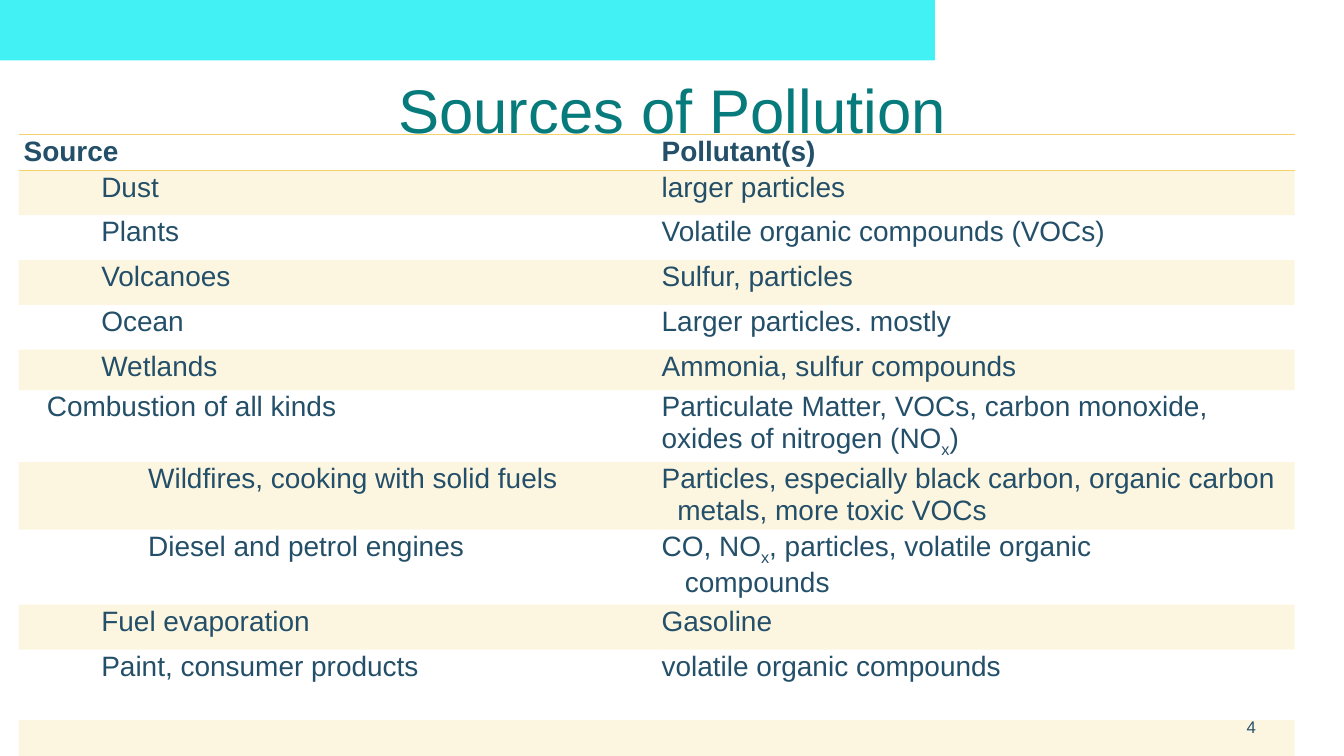
import pptx
import pptx.util
import pptx.dml.color
import pptx.enum.shapes
import pptx.enum.text
import pptx.oxml
import pptx.oxml.ns

Inches = pptx.util.Inches
RGB = pptx.dml.color.RGBColor.from_string
ALIGN = pptx.enum.text.PP_ALIGN

THEME = {
    "font": "Arial",
    "bar": "42F1F4",
    "gold": "F3D26C",
    "title": {"size": 88, "color": "077B7C"},
    "head": {"size": 40, "color": "244F69", "bold": True},
    "body": {"size": 40, "color": "244F69", "bold": False},
    "page": {"size": 24, "color": "244F69"},
}

# Left indent, source, row height, pollutant lines as (indent, text).
# Text between ~ marks is subscript.
ROWS = [
    (0, "Source", 0.71, [(0, "Pollutant(s)")]),
    (1.54, "Dust", 0.89, [(0, "larger particles")]),
    (1.54, "Plants", 0.89, [(0, "Volatile organic compounds (VOCs)")]),
    (1.54, "Volcanoes", 0.89, [(0, "Sulfur, particles")]),
    (1.54, "Ocean", 0.89, [(0, "Larger particles. mostly")]),
    (1.54, "Wetlands", 0.8, [(0, "Ammonia, sulfur compounds")]),
    (0.46, "Combustion of all kinds", 1.43,
     [(0, "Particulate Matter, VOCs, carbon monoxide, oxides of nitrogen (NO~x~)")]),
    (2.47, "Wildfires, cooking with solid fuels", 1.34,
     [(0, "Particles, especially black carbon, organic carbon"),
      (0.31, "metals, more toxic VOCs")]),
    (2.47, "Diesel and petrol engines", 1.49,
     [(0, "CO, NO~x~, particles, volatile organic"), (0.46, "compounds")]),
    (1.54, "Fuel evaporation", 0.89, [(0, "Gasoline")]),
    (1.54, "Paint, consumer products", 1.4, [(0, "volatile organic compounds")]),
    (0, "", 0.71, [(0, "")]),
]


def write(frame, lines, style, align=ALIGN.LEFT):
    """Fill a text frame with (indent, text) lines in one style."""
    for i, (indent, text) in enumerate(lines):
        para = frame.paragraphs[0] if i == 0 else frame.add_paragraph()
        para.alignment = align
        if indent:
            para._p.get_or_add_pPr().set("marL", str(Inches(indent)))
        for j, part in enumerate(text.split("~")):
            if not part:
                continue
            run = para.add_run()
            run.text = part
            look = {"name": THEME["font"], "size": pptx.util.Pt(style["size"]),
                    "bold": style.get("bold", False)}
            for key, value in look.items():
                setattr(run.font, key, value)
            run.font.color.rgb = RGB(style["color"])
            if j % 2:
                run._r.get_or_add_rPr().set("baseline", "-25000")


def rule(cell, side):
    """Draw a thin gold border on one side of a cell."""
    line = pptx.oxml.parse_xml(
        f'<a:{side} {pptx.oxml.ns.nsdecls("a")} w="12700"><a:solidFill>'
        f'<a:srgbClr val="{THEME["gold"]}"/></a:solidFill></a:{side}>')
    props = cell._tc.get_or_add_tcPr()
    props.insert(sum(1 for kid in props if "}ln" in kid.tag), line)


deck = pptx.Presentation()
deck.slide_width, deck.slide_height = Inches(26.67), Inches(15)
slide = deck.slides.add_slide(deck.slide_layouts[6])

# Top bar
bar = slide.shapes.add_shape(pptx.enum.shapes.MSO_SHAPE.RECTANGLE,
                             0, 0, Inches(18.55), Inches(1.2))
bar.shadow.inherit = False
bar.fill.solid()
bar.fill.fore_color.rgb = RGB(THEME["bar"])
bar.line.fill.background()

# Source table
grid = slide.shapes.add_table(len(ROWS), 2, Inches(0.37), Inches(2.67), Inches(25.32),
                              Inches(sum(row[2] for row in ROWS)))
table = grid.table
table.horz_banding = False
# Plain table style: no fill, no grid
table._tbl.tblPr.find(pptx.oxml.ns.qn("a:tableStyleId")).text = \
    "{2D5ABB26-0587-4C30-8999-92F81FD0307C}"
for r, (indent, source, height, lines) in enumerate(ROWS):
    table.rows[r].height = Inches(height)
    for c, content in enumerate([[(indent, source)], lines]):
        cell = table.cell(r, c)
        pads = {"margin_left": 0.1, "margin_right": 0.1,
                "margin_top": 0.03, "margin_bottom": 0.03}
        for key, value in pads.items():
            setattr(cell, key, Inches(value))
        write(cell.text_frame, content, THEME["body" if r else "head"])
        if r % 2:
            cell.fill.solid()
            cell.fill.fore_color.rgb = RGB(THEME["gold"])
            tint = cell._tc.tcPr.find(".//" + pptx.oxml.ns.qn("a:srgbClr"))
            tint.append(pptx.oxml.parse_xml(
                f'<a:alpha {pptx.oxml.ns.nsdecls("a")} val="20000"/>'))
        else:
            cell.fill.background()
        if r == 0:
            rule(cell, "lnT")
            rule(cell, "lnB")

# Title and page number
for place, text, style, align, top in [
    ((2.02, 1.25, 22.64, 2.12), "Sources of Pollution", "title", ALIGN.CENTER, 0.18),
    ((24.64, 14.18, 1.65, 0.8), "4", "page", ALIGN.LEFT, 0.05),
]:
    box = slide.shapes.add_textbox(*map(Inches, place))
    box.text_frame.word_wrap = True
    box.text_frame.margin_top = Inches(top)
    write(box.text_frame, [(0, text)], THEME[style], align)

deck.save("out.pptx")
